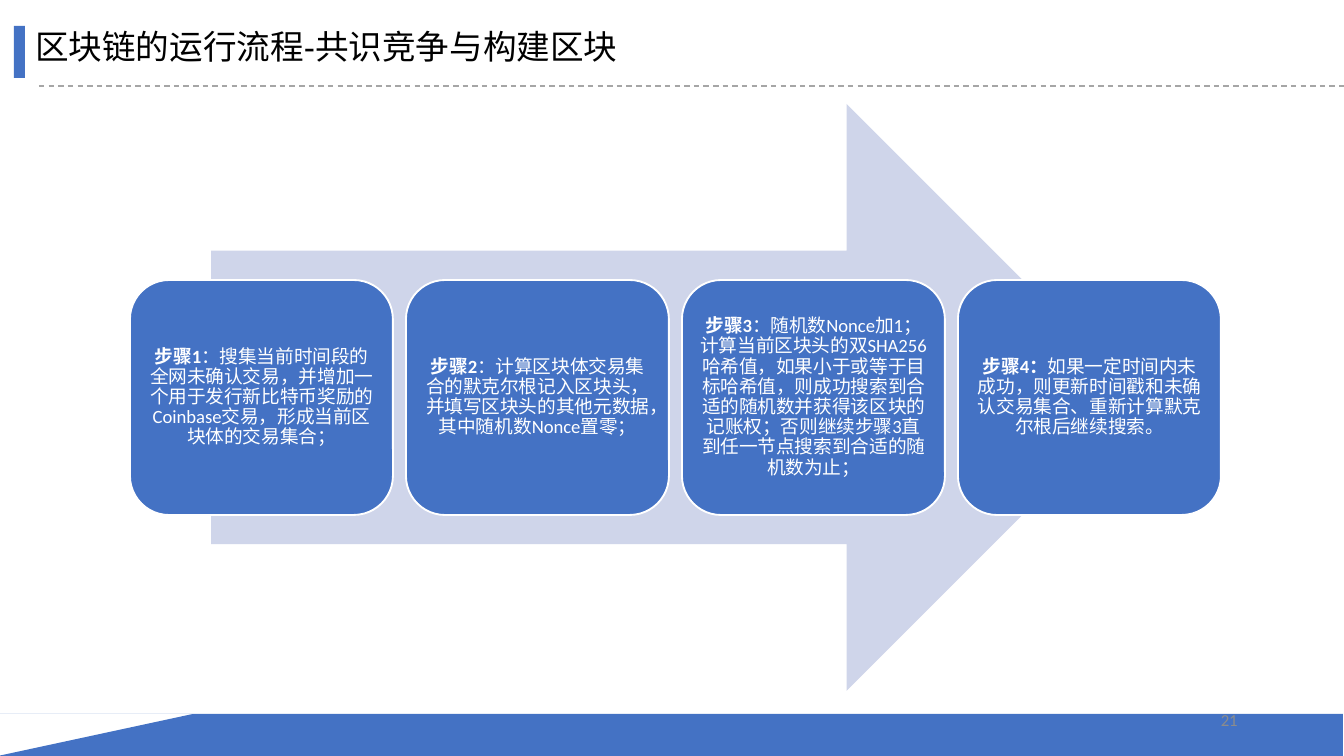
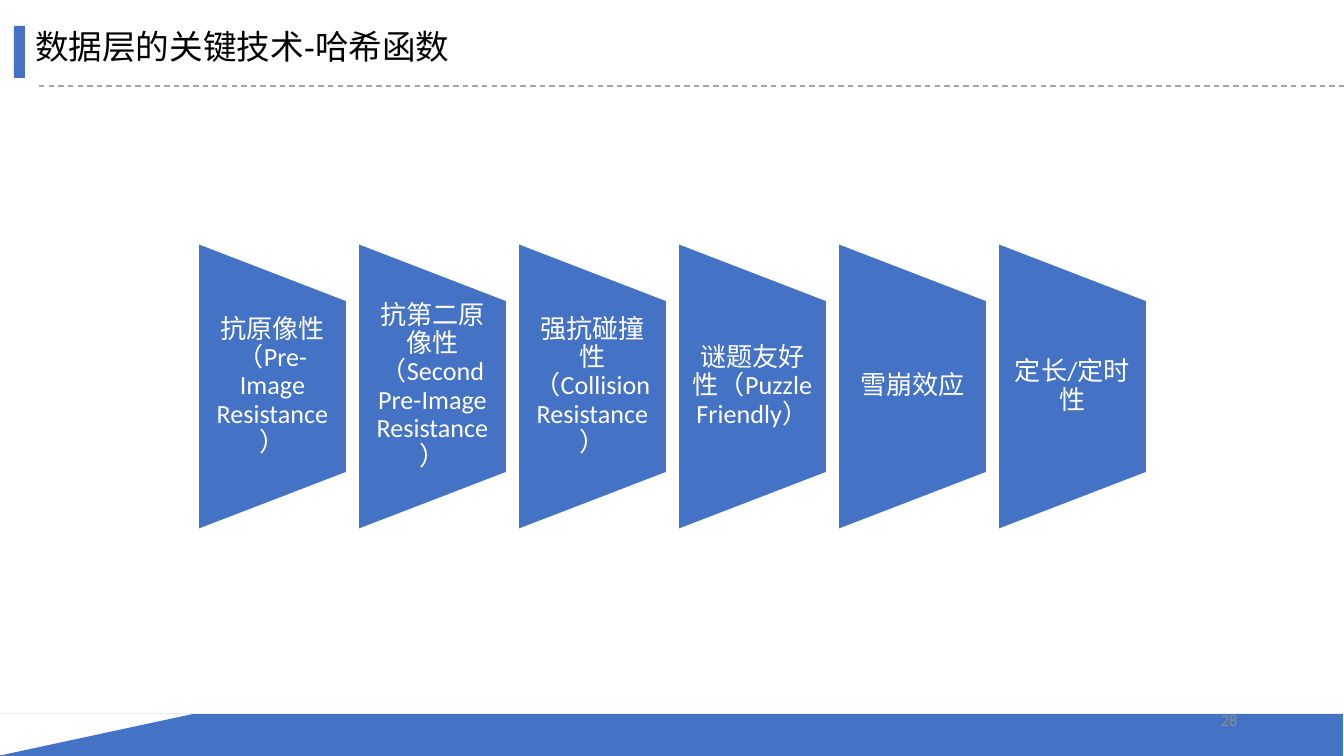
from collections import namedtuple

from lxml import etree
from pptx import Presentation
from pptx.dml.color import RGBColor
from pptx.enum.dml import MSO_LINE_DASH_STYLE as Dash
from pptx.enum.shapes import MSO_CONNECTOR as Connector, MSO_SHAPE as Shape
from pptx.enum.text import MSO_ANCHOR as Anchor, MSO_AUTO_SIZE as AutoSize, PP_ALIGN as Align
from pptx.oxml.ns import qn
from pptx.util import Emu, Pt

BLUE = RGBColor(0x44, 0x72, 0xC4)
PALE_BLUE = RGBColor(0xCF, 0xD5, 0xEA)
WHITE = RGBColor(0xFF, 0xFF, 0xFF)
BLACK = RGBColor(0x00, 0x00, 0x00)
RULE_GREY = RGBColor(0xA6, 0xA6, 0xA6)
NUMBER_GREY = RGBColor(0x8C, 0x8C, 0x8C)

PX_PER_INCH = 134.4
PAGE_WIDTH, PAGE_HEIGHT = 1344, 756
HEADING_FONT, BODY_FONT = "Arial", "Calibri"

Box = namedtuple("Box", "left top width height")
PAGE = Box(0, 0, PAGE_WIDTH, PAGE_HEIGHT)

STEPS = [
    ("步骤1", "：搜集当前时间段的全网未确认交易，并增加一个用于发行新比特币奖励的Coinbase交易，"
              "形成当前区块体的交易集合；"),
    ("步骤2", "：计算区块体交易集合的默克尔根记入区块头，并填写区块头的其他元数据，其中随机数Nonce置零；"),
    ("步骤3", "：随机数Nonce加1；计算当前区块头的双SHA256哈希值，如果小于或等于目标哈希值，"
              "则成功搜索到合适的随机数并获得该区块的记账权；否则继续步骤3直到任一节点搜索到合适的随机数为止；"),
    ("步骤4：", "如果一定时间内未成功，则更新时间戳和未确认交易集合、重新计算默克尔根后继续搜索。"),
]
HASH_PROPERTIES = [
    "抗原像性（Pre-Image Resistance）",
    "抗第二原像性（Second Pre-Image Resistance）",
    "强抗碰撞性（Collision Resistance）",
    "谜题友好性（Puzzle Friendly）",
    "雪崩效应",
    "定长/定时性",
]


def px(length):
    return Emu(round(length * 914400 / PX_PER_INCH))


def emu(box):
    return [px(length) for length in box]


def inset(box, across, down):
    return Box(box.left + across, box.top + down, box.width - 2 * across, box.height - 2 * down)


def row(box, count, gap):
    """Split a box into equal cells, left to right."""
    width = (box.width - gap * (count - 1)) / count
    return [Box(box.left + i * (width + gap), box.top, width, box.height) for i in range(count)]


def paint(shape, fill, outline=None):
    shape.shadow.inherit = False
    shape.fill.solid()
    shape.fill.fore_color.rgb = fill
    if outline is None:
        shape.line.fill.background()
    else:
        shape.line.color.rgb = outline
        shape.line.width = Pt(1)


def add_block(page, kind, box, fill, outline=None):
    block = page.shapes.add_shape(kind, *emu(box))
    paint(block, fill, outline)
    return block


def add_text(page, box, runs, size, font, color, align=Align.LEFT, anchor=Anchor.TOP):
    """Add one paragraph made of (text, bold) runs and return its text frame."""
    frame = page.shapes.add_textbox(*emu(box)).text_frame
    frame.word_wrap = True
    frame.vertical_anchor = anchor
    para = frame.paragraphs[0]
    para.alignment = align
    for text, bold in runs:
        span = para.add_run()
        span.text = text
        span.font.name = font
        span.font.size = Pt(size)
        span.font.bold = bold
        span.font.color.rgb = color
    return frame


def add_label(page, box, runs, size, side, end):
    """Add white centred text with the given side and end margins."""
    frame = add_text(page, box, runs, size, BODY_FONT, WHITE, Align.CENTER, Anchor.MIDDLE)
    frame.margin_left = frame.margin_right = px(side)
    frame.margin_top = frame.margin_bottom = px(end)
    frame.paragraphs[0].line_spacing = 0.9
    frame.paragraphs[0].space_after = Pt(size * 0.35)


def add_header(page, box, title):
    frame = add_text(page, Box(box.left + 22, box.top + 19, 1279, 54),
                     [(title, False)], 18, HEADING_FONT, BLACK)
    frame.auto_size = AutoSize.SHAPE_TO_FIT_TEXT
    rule_y = px(box.top + 86)
    rule = page.shapes.add_connector(Connector.STRAIGHT, px(box.left + 39), rule_y,
                                     px(box.left + box.width), rule_y)
    rule.line.color.rgb = RULE_GREY
    rule.line.width = Pt(0.75)
    rule.line.dash_style = Dash.DASH
    etree.SubElement(rule._element.spPr, qn("a:effectLst"))
    add_block(page, Shape.RECTANGLE, Box(box.left + 14, box.top + 26, 11, 52), BLUE)


def add_footer_band(page, box):
    """Draw the slanted band and the hairline that extends its top edge."""
    left, right, bottom = box.left - 2, box.left + box.width - 1, box.top + box.height
    top, slant = bottom - 42, box.left + 193
    builder = page.shapes.build_freeform(slant, top, scale=914400 / PX_PER_INCH)
    builder.add_line_segments([(right, top), (right, bottom), (left, bottom)], close=True)
    builder.move_to(left, top)
    builder.add_line_segments([(slant, top)], close=True)
    paint(builder.convert_to_shape(), BLUE)


def add_page_number(page, box, number):
    add_text(page, Box(box.left + 949, box.top + box.height - 56, 302, 40),
             [(str(number), False)], 9, BODY_FONT, NUMBER_GREY, Align.RIGHT, Anchor.MIDDLE)


def add_step_arrow(page, box):
    add_block(page, Shape.RIGHT_ARROW, inset(box, 81, 0), PALE_BLUE)
    for card, (name, detail) in zip(row(inset(box, 0, 176), len(STEPS), 13), STEPS):
        add_block(page, Shape.ROUNDED_RECTANGLE, card, BLUE, WHITE)
        add_label(page, inset(card, 12, 12), [(name, True), (detail, False)], 10, 5, 5)


def add_hash_properties(page, box):
    for cell, text in zip(row(box, len(HASH_PROPERTIES), 11), HASH_PROPERTIES):
        turn = (cell.height - cell.width) / 2
        trapezoid = add_block(page, Shape.FLOWCHART_MANUAL_OPERATION,
                              inset(cell, -turn, turn), BLUE, WHITE)
        trapezoid.rotation = 270
        add_label(page, inset(cell, 0, cell.height / 5), [(text, False)], 14, 13, 0)


def add_page(deck, title, number, add_content, content_box):
    page = deck.slides.add_slide(deck.slide_layouts[6])
    add_header(page, PAGE, title)
    add_footer_band(page, PAGE)
    add_content(page, content_box)
    add_page_number(page, PAGE, number)


def main():
    deck = Presentation()
    deck.slide_width, deck.slide_height = px(PAGE_WIDTH), px(PAGE_HEIGHT)
    add_page(deck, "区块链的运行流程-共识竞争与构建区块", 21,
             add_step_arrow, Box(130, 104, 1091, 587))
    add_page(deck, "数据层的关键技术-哈希函数", 28,
             add_hash_properties, Box(198, 243, 949, 287))
    deck.save("out.pptx")


if __name__ == "__main__":
    main()
